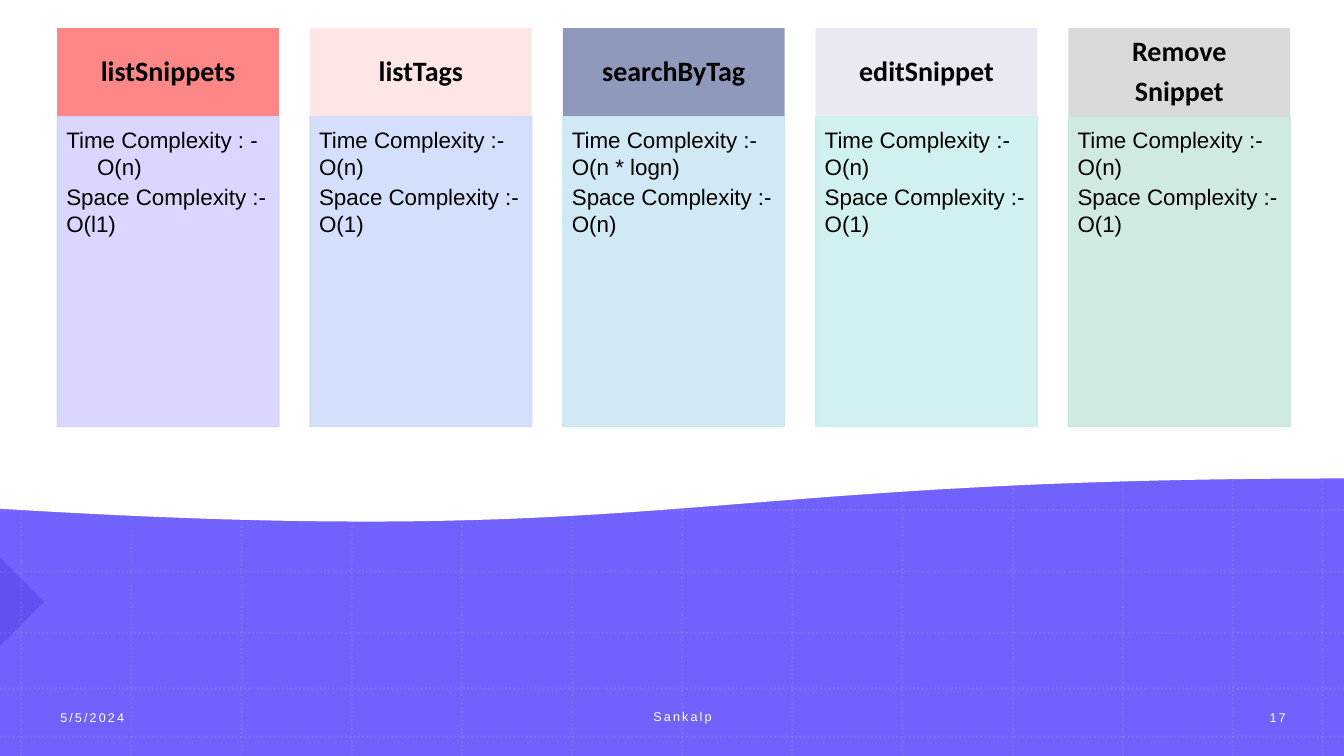
from pptx import Presentation
from pptx.dml.color import RGBColor
from pptx.enum.dml import MSO_LINE
from pptx.enum.shapes import MSO_CONNECTOR, MSO_SHAPE
from pptx.enum.text import MSO_ANCHOR, PP_ALIGN
from pptx.oxml.ns import qn
from pptx.util import Pt
from lxml.etree import SubElement

WIDTH, HEIGHT = 960, 540
VIOLET = RGBColor(0x71, 0x62, 0xFE)
INDIGO = RGBColor(0x12, 0x01, 0xAF)
GRID = RGBColor(0xB4, 0x95, 0xC2)
WHITE = RGBColor(0xFF, 0xFF, 0xFF)
BLACK = RGBColor(0x00, 0x00, 0x00)
CORAL = RGBColor(0xFD, 0x86, 0x86)
SLATE = RGBColor(0x8F, 0x99, 0xBB)
GREY = RGBColor(0xD9, 0xD9, 0xD9)
LILAC = RGBColor(0xD5, 0xD3, 0xFF)
PERIWINKLE = RGBColor(0xCF, 0xDC, 0xFB)
SKY = RGBColor(0xCD, 0xE7, 0xF5)
AQUA = RGBColor(0xCC, 0xEF, 0xEF)
MINT = RGBColor(0xCC, 0xE8, 0xDE)

# Heading, heading colour, opacity, body colour, time, space
COLUMNS = [
    ("listSnippets", CORAL, 100, LILAC, ": - O(n)", ":- O(l1)"),
    ("listTags", CORAL, 20, PERIWINKLE, ":- O(n)", ":- O(1)"),
    ("searchByTag", SLATE, 100, SKY, ":- O(n * logn)", ":- O(n)"),
    ("editSnippet", SLATE, 20, AQUA, ":- O(n)", ":- O(1)"),
    ("Remove\nSnippet", GREY, 100, MINT, ":- O(n)", ":- O(1)"),
]


def set_opacity(shape, percent):
    for color in shape._element.spPr.iter(qn("a:srgbClr")):
        SubElement(color, qn("a:alpha")).set("val", str(percent * 1000))


def add_block(s, kind, box, color, opacity=100, outlined=False):
    sp = s.shapes.add_shape(kind, *map(Pt, box))
    sp.shadow.inherit = False
    sp.fill.solid()
    sp.fill.fore_color.rgb = color
    if outlined:
        sp.line.color.rgb = color
        sp.line.width = Pt(1)
    else:
        sp.line.fill.background()
    if opacity < 100:
        set_opacity(sp, opacity)
    return sp


def add_grid_line(s, x1, y1, x2, y2):
    line = s.shapes.add_connector(MSO_CONNECTOR.STRAIGHT, *map(Pt, (x1, y1, x2, y2)))
    line.line.color.rgb = GRID
    line.line.width = Pt(1.5)
    line.line.dash_style = MSO_LINE.ROUND_DOT
    set_opacity(line, 20)
    SubElement(line._element.spPr, qn("a:effectLst"))


def write_text(sp, text, margins, anchor, align, font, size, color, bold=False):
    tf = sp.text_frame
    tf.word_wrap = True
    tf.vertical_anchor = anchor
    tf.margin_left, tf.margin_top, tf.margin_right, tf.margin_bottom = map(Pt, margins)
    tf.text = text
    for p in tf.paragraphs:
        p.alignment = align
        for r in p.runs:
            r.font.name = font
            r.font.size = Pt(size)
            r.font.bold = bold
            r.font.color.rgb = color
    return tf.paragraphs


def add_backdrop(s, x, y, w, h):
    add_block(s, MSO_SHAPE.RECTANGLE, (x, y, w, h), VIOLET)
    marker = add_block(s, MSO_SHAPE.RIGHT_TRIANGLE, (x - 22.3, y + 407.5, 44.6, 44.6), INDIGO, 17)
    marker.rotation = 225

    # Dotted grid
    for dx in [15.1 + 78.7 * i for i in range(12)] + [944.6]:
        add_grid_line(s, x + dx, y, x + dx, y + h)
    for dy in [364.5 + 43.85 * i for i in range(3)] + [491.8, 526.3]:
        add_grid_line(s, x, y + dy, x + w, y + dy)


def add_wave(s, x, y, w):
    # Lower edge is a cubic curve from the right side to the left
    curve = [(w, 341.3), (482.4, 341.3), (479.5, 392.4), (0, 362.9)]
    steps = 80
    edge = []
    for i in range(steps + 1):
        t = i / steps
        weights = ((1 - t) ** 3, 3 * t * (1 - t) ** 2, 3 * t * t * (1 - t), t ** 3)
        edge.append((Pt(x + sum(k * c[0] for k, c in zip(weights, curve))),
                     Pt(y + sum(k * c[1] for k, c in zip(weights, curve)))))
    builder = s.shapes.build_freeform(Pt(x), Pt(y))
    builder.add_line_segments([(Pt(x + w), Pt(y))] + edge)
    wave = builder.convert_to_shape()
    wave.shadow.inherit = False
    wave.fill.solid()
    wave.fill.fore_color.rgb = WHITE
    wave.line.color.rgb = WHITE
    wave.line.width = Pt(1)


def add_footer(s, x, y, h):
    parts = [("5/5/2024", 36, 0, 201.6, PP_ALIGN.LEFT),
             ("Sankalp", 330.5, -0.7, 314, PP_ALIGN.CENTER),
             ("17", 881.3, 0, 62.6, PP_ALIGN.CENTER)]
    for text, dx, dy, w, align in parts:
        box = s.shapes.add_textbox(Pt(x + dx), Pt(y + dy), Pt(w), Pt(h))
        for p in write_text(box, text, (7.2, 3.6, 7.2, 3.6), MSO_ANCHOR.MIDDLE,
                            align, "Arial", 9, WHITE):
            p.runs[0]._r.get_or_add_rPr().set("spc", "150")


def add_column(s, x, y, w, h, column):
    heading, color, opacity, body_color, time, space = column
    head_h = 63.3

    # Heading
    head = add_block(s, MSO_SHAPE.RECTANGLE, (x, y, w, head_h), color, opacity)
    for p in write_text(head, heading, (11.5, 6.5, 11.5, 6.5), MSO_ANCHOR.MIDDLE,
                        PP_ALIGN.CENTER, "Calibri", 20, BLACK, True):
        p.line_spacing = 0.9
        p.space_after = Pt(7)

    # Complexities
    body = add_block(s, MSO_SHAPE.RECTANGLE, (x, y + head_h, w, h - head_h),
                     body_color, 90, True)
    text = f"Time Complexity {time}\nSpace Complexity {space}"
    lines = write_text(body, text, (6.5, 6.5, 8.6, 10), MSO_ANCHOR.TOP,
                       PP_ALIGN.LEFT, "Arial", 16, BLACK)
    for p in lines:
        p.space_after = Pt(2.4)
    if time.startswith(": -"):
        # Hanging indent for the wrapped value
        pPr = lines[0]._p.get_or_add_pPr()
        pPr.set("marL", str(Pt(22)))
        pPr.set("indent", str(-Pt(22)))


def add_columns(s, x, y, w, h):
    column_w = 158.4
    pitch = (w - column_w) / (len(COLUMNS) - 1)
    for i, column in enumerate(COLUMNS):
        add_column(s, x + i * pitch, y, column_w, h, column)


def main():
    prs = Presentation()
    prs.slide_width, prs.slide_height = Pt(WIDTH), Pt(HEIGHT)
    s = prs.slides.add_slide(prs.slide_layouts[6])
    add_backdrop(s, 0, 0, WIDTH, HEIGHT)
    add_wave(s, 0, 0, WIDTH)
    add_footer(s, 0, 498.2, 28.8)
    add_columns(s, 40.9, 20.1, 880.7, 284.6)
    prs.save("out.pptx")


if __name__ == "__main__":
    main()
